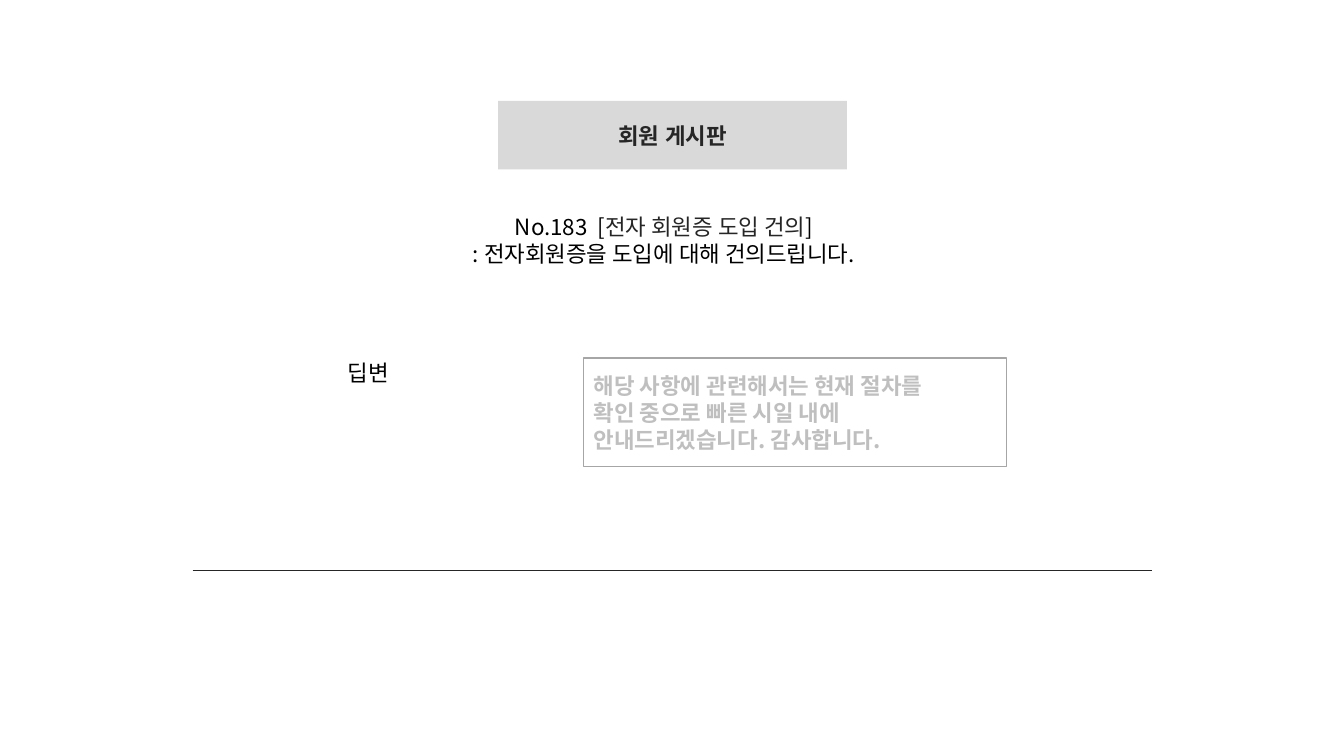
from dataclasses import dataclass

from lxml import etree
from pptx import Presentation
from pptx.dml.color import RGBColor
from pptx.enum.shapes import MSO_CONNECTOR, MSO_SHAPE
from pptx.enum.text import MSO_ANCHOR, MSO_AUTO_SIZE, PP_ALIGN
from pptx.oxml.ns import qn
from pptx.util import Inches, Pt

LEFT, CENTER = PP_ALIGN.LEFT, PP_ALIGN.CENTER
TOP, MIDDLE = MSO_ANCHOR.TOP, MSO_ANCHOR.MIDDLE
NO_FIT = MSO_AUTO_SIZE.NONE
RECT, STRAIGHT = MSO_SHAPE.RECTANGLE, MSO_CONNECTOR.STRAIGHT
TITLE_ONLY = 5


@dataclass(frozen=True)
class Theme:
    """Hold the colours, fonts and type size of the slide."""
    black: str = "000000"
    ink: str = "262626"
    edge: str = "A6A6A6"
    pale: str = "BFBFBF"
    band: str = "D9D9D9"
    white: str = "FFFFFF"
    head: str = "Arial"
    body: str = "Noto Sans CJK KR"
    size: int = 16


THEME = Theme()


def color(code):
    """Turn a hex code into a colour."""
    return RGBColor.from_string(code)


def paint(shape, code):
    """Fill a shape with one colour."""
    shape.fill.solid()
    shape.fill.fore_color.rgb = color(code)


def write(shape, lines, align=LEFT, anchor=TOP, wrap=True, bold=False, font=THEME.body):
    """Write lines of (text, colour) runs into a shape."""
    frame = shape.text_frame
    frame.word_wrap = wrap
    frame.auto_size = NO_FIT
    frame.vertical_anchor = anchor
    for i, line in enumerate(lines):
        para = frame.add_paragraph() if i else frame.paragraphs[0]
        para.alignment = align
        for text, code in line:
            run = para.add_run()
            run.text = text
            run.font.name = font
            run.font.size = Pt(THEME.size)
            run.font.bold = bold
            run.font.color.rgb = color(code)
            east = etree.SubElement(run.font._element, qn("a:ea"))
            east.set("typeface", font)


def add_title(slide, text, x, y, w, h):
    """Place the title on a grey band."""
    title = slide.shapes.title
    title.left, title.top = Inches(x), Inches(y)
    title.width, title.height = Inches(w), Inches(h)
    paint(title, THEME.band)
    write(title, [[(text, THEME.ink)]], CENTER, MIDDLE, bold=True, font=THEME.head)


def add_text(slide, lines, x, y, w, h, align=LEFT):
    """Add an unwrapped text box."""
    box = slide.shapes.add_textbox(Inches(x), Inches(y), Inches(w), Inches(h))
    write(box, lines, align, wrap=False)


def add_reply(slide, lines, x, y, w, h):
    """Add the outlined reply box."""
    box = slide.shapes.add_shape(RECT, Inches(x), Inches(y), Inches(w), Inches(h))
    box.shadow.inherit = False
    paint(box, THEME.white)
    box.line.color.rgb = color(THEME.edge)
    box.line.width = Pt(1)
    write(box, lines, anchor=MIDDLE, bold=True)


def add_rule(slide, x, y, end):
    """Add a thin level line."""
    rule = slide.shapes.add_connector(STRAIGHT, Inches(x), Inches(y), Inches(end), Inches(y))
    rule.line.color.rgb = color(THEME.ink)
    rule.line.width = Pt(0.5)
    etree.SubElement(rule._element.spPr, qn("a:effectLst"))


def main():
    """Build the member board slide."""
    deck = Presentation()
    deck.slide_width, deck.slide_height = Inches(13.33), Inches(7.5)
    slide = deck.slides.add_slide(deck.slide_layouts[TITLE_ONLY])
    black, ink, pale = THEME.black, THEME.ink, THEME.pale
    add_rule(slide, 1.91, 5.66, 11.43)
    add_title(slide, "회원 게시판", 4.94, 1, 3.46, 0.68)
    post = [
        [("No.183  [", black), ("전자 회원증 도입 건의", ink), ("]", black)],
        [(": 전자회원증을 도입에 대해 건의드립니다.", black)],
    ]
    add_text(slide, post, 4.33, 2.07, 4.51, 0.64, CENTER)
    add_text(slide, [[("딥변", black)]], 3.35, 3.51, 0.65, 0.37)
    reply = [
        [("해당 사항에 관련해서는 현재 절차를", pale)],
        [("확인 중으로 빠른 시일 내에 안내드리겠습니다. 감사합니다.", pale)],
    ]
    add_reply(slide, reply, 5.79, 3.55, 4.19, 1.08)
    deck.save("out.pptx")


if __name__ == "__main__":
    main()
